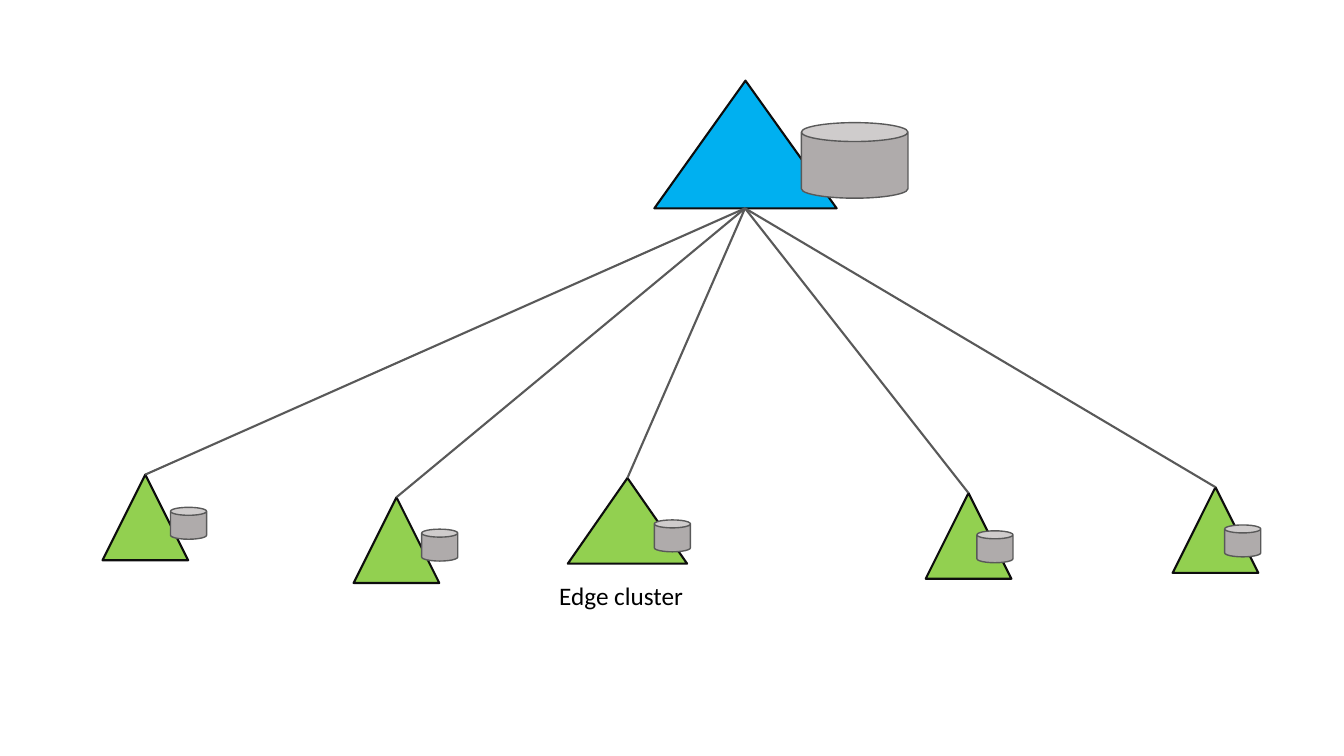
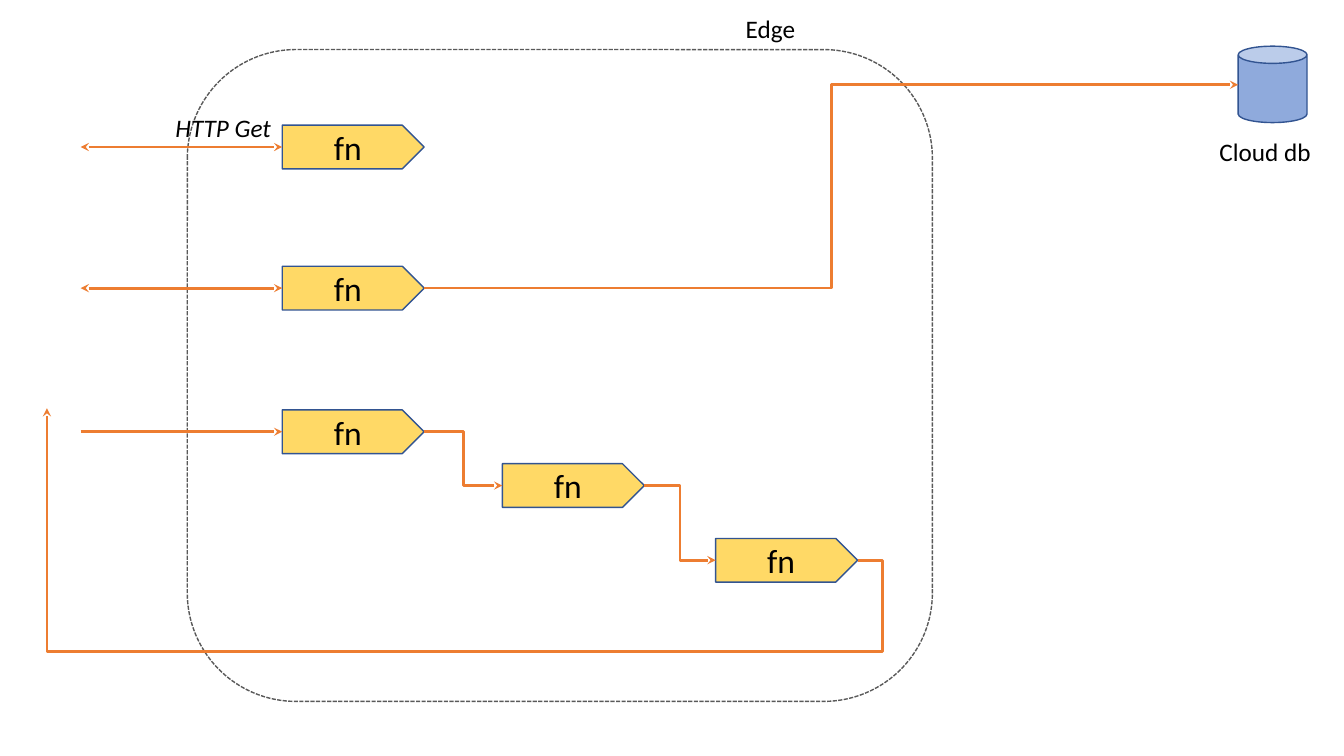
from lxml.etree import SubElement
from pptx import Presentation
from pptx.dml.color import RGBColor
from pptx.enum.dml import MSO_LINE
from pptx.enum.shapes import MSO_CONNECTOR as Path, MSO_SHAPE as Kind
from pptx.enum.text import MSO_ANCHOR, MSO_AUTO_SIZE, PP_ALIGN
from pptx.oxml.ns import qn
from pptx.util import Inches, Pt

# The slide is a grid of 160 columns and 90 rows.
CELL = Inches(1 / 12)
COLS, ROWS = 160, 90
FONT = "Calibri"
BLACK, INK, GREY = "000000", "0D0D0D", "595959"
SKY, GREEN, STONE = "00B0F0", "92D050", "AFABAB"
GOLD, BLUE, NAVY, ORANGE = "FFD966", "8FAADC", "325491", "ED7D31"
hue = RGBColor.from_string


def draw(slide, kind, at, fill=None, edge=None, pt=1, text="", size=18, slant=False):
    """Add a shape, or a plain label when kind is None; at is in grid cells."""
    box = [round(v * CELL) for v in at]
    if kind is None:
        item = slide.shapes.add_textbox(*box)
        item.text_frame.word_wrap = False
        item.text_frame.auto_size = MSO_AUTO_SIZE.SHAPE_TO_FIT_TEXT
    else:
        item = slide.shapes.add_shape(kind, *box)
        item.shadow.inherit = False
        if fill:
            item.fill.solid()
            item.fill.fore_color.rgb = hue(fill)
        else:
            item.fill.background()
        item.line.color.rgb = hue(edge)
        item.line.width = Pt(pt)
        item.text_frame.vertical_anchor = MSO_ANCHOR.MIDDLE
    if text:
        para = item.text_frame.paragraphs[0]
        para.alignment = PP_ALIGN.CENTER if kind else PP_ALIGN.LEFT
        run = para.add_run()
        run.text = text
        run.font.name, run.font.size = FONT, Pt(size)
        run.font.color.rgb = hue(BLACK)
        if slant:
            run.font.italic = True
    return item


def join(slide, start, end, color, pt, kind=Path.STRAIGHT, heads=()):
    """Add a connector between two grid points, with arrowheads on the named ends."""
    line = slide.shapes.add_connector(kind, *[round(v * CELL) for v in (*start, *end)])
    line.line.color.rgb = hue(color)
    line.line.width = Pt(pt)
    stroke = line.line._get_or_add_ln()
    for head in heads:
        SubElement(stroke, qn(f"a:{head}End"), type="stealth")
    SubElement(line._element.spPr, qn("a:effectLst"))
    return line


deck = Presentation()
deck.slide_width, deck.slide_height = COLS * CELL, ROWS * CELL
blank = deck.slide_layouts[6]

# Slide 1: a central cluster linked to edge clusters, each with its store
tree = deck.slides.add_slide(blank)
draw(tree, Kind.ISOSCELES_TRIANGLE, (77.9, 9.6, 21.7, 15.2), SKY, INK, 1.5)
draw(tree, Kind.CAN, (95.4, 14.6, 12.7, 9), STONE, GREY)
hub = 88.7, 24.8
TALL = 10.2
edges = [  # left, top, width, store left, store top
    (12.2, 56.5, TALL, 20.3, 60.4),
    (42.1, 59.2, TALL, 50.2, 63),
    (67.6, 56.9, 14.2, 77.9, 61.9),
    (110.2, 58.7, TALL, 116.3, 63.2),
    (139.6, 58, TALL, 145.8, 62.5),
]
for left, top, wide, x, y in edges:
    peak = draw(tree, Kind.ISOSCELES_TRIANGLE, (left, top, wide, TALL), GREEN, INK, 1.5)
    link = join(tree, (left + wide / 2, top), hub, GREY, 1.5)
    link.begin_connect(peak, 0)
    draw(tree, Kind.CAN, (x, y, 4.3, 3.8), STONE, GREY)
draw(tree, None, (65.4, 68.5, 17.3, 4.8), text="Edge cluster")

# Slide 2: functions at the edge, called alone, with a database, or in a chain
flow = deck.slides.add_slide(blank)
draw(flow, Kind.CAN, (147.4, 5.5, 8.2, 9.1), BLUE, NAVY)
zone = draw(flow, Kind.ROUNDED_RECTANGLE, (22.3, 5.9, 88.7, 77.6), None, GREY)
zone.line.dash_style = MSO_LINE.SQUARE_DOT

WIDE, HIGH = 16.9, 5.2
MID = HIGH / 2
LEFT, CALLER = 33.6, 9.6
spots = [(LEFT, 14.9), (LEFT, 31.7), (LEFT, 48.8), (59.8, 55.2), (85.2, 64.1)]
plates = [
    draw(flow, Kind.PENTAGON, (x, y, WIDE, HIGH), GOLD, NAVY, text="fn", size=24)
    for x, y in spots
]
ins = [(x, y + MID) for x, y in spots]
outs = [(x + WIDE, y + MID) for x, y in spots]

for i, heads in enumerate([("head", "tail"), ("head", "tail"), ("tail",)]):
    call = join(flow, (CALLER, ins[i][1]), ins[i], ORANGE, 2, heads=heads)
    call.end_connect(plates[i], 1)
for i in (2, 3):
    step = join(flow, outs[i], ins[i + 1], ORANGE, 2, Path.ELBOW, ("tail",))
    step.begin_connect(plates[i], 3)
    step.end_connect(plates[i + 1], 1)
join(flow, outs[1], (147.4, 10.1), ORANGE, 2, Path.ELBOW, ("tail",))

# The reply leaves to the right, runs below the chain and rises to the caller
reply = join(flow, outs[4], (5.6, 48.6), ORANGE, 2, Path.ELBOW, ("tail",))
geom = reply._element.spPr.find(qn("a:prstGeom"))
geom.set("prst", "bentConnector4")
bends = geom.find(qn("a:avLst"))
for name, share in (("adj1", -3100), ("adj2", 160300)):
    SubElement(bends, qn("a:gd"), name=name, fmla=f"val {share}")
bends[1].set("fmla", "val -60300")

draw(flow, None, (19.7, 12.8, 13.9, 4.8), text="HTTP Get", slant=True)
draw(flow, None, (87.6, 1, 8.4, 4.8), text="Edge")
draw(flow, None, (144, 15.7, 13.4, 4.8), text="Cloud db")

deck.save("out.pptx")
